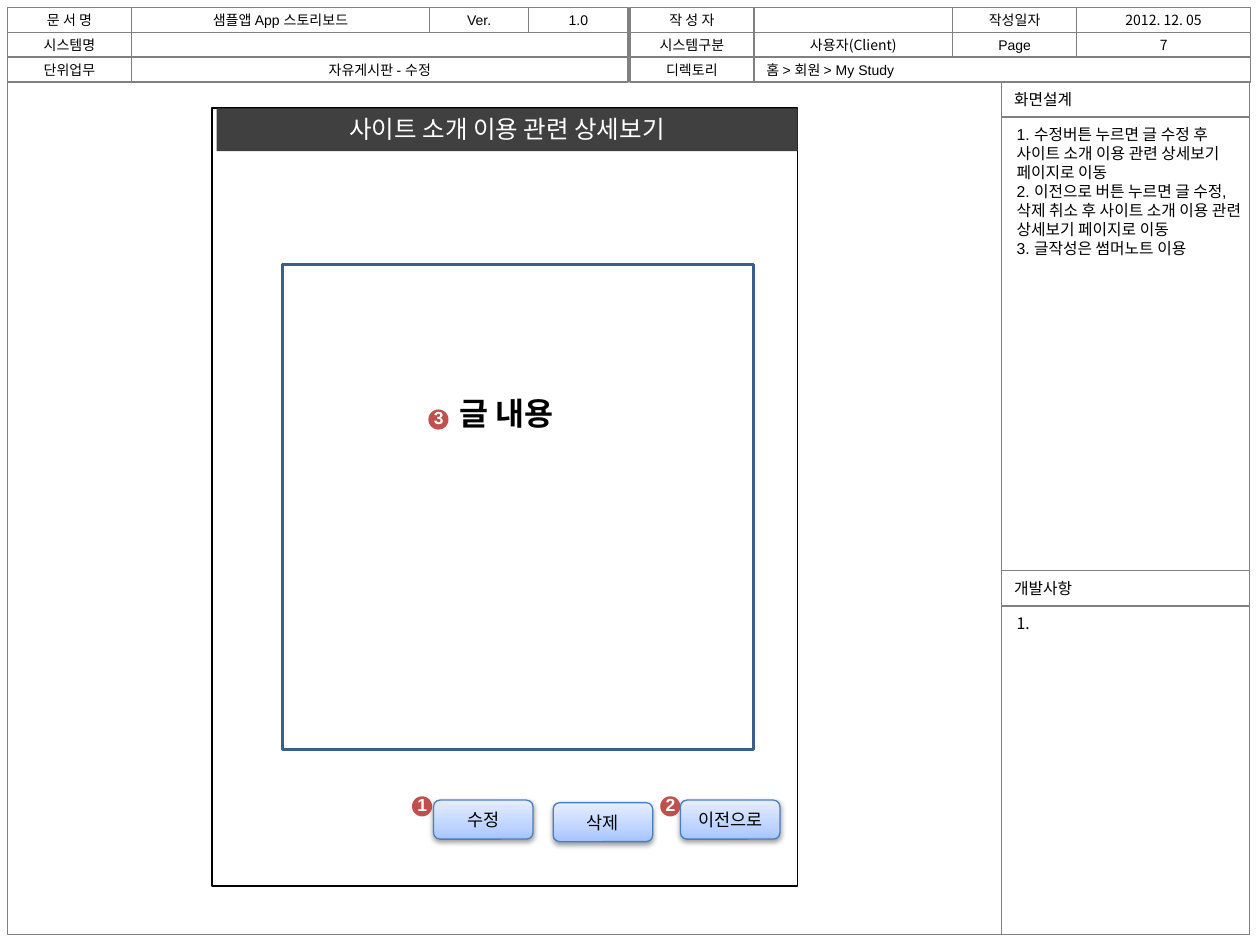
from copy import deepcopy
from typing import NamedTuple, Optional

from pptx import Presentation
from pptx.dml.color import RGBColor
from pptx.enum.shapes import MSO_SHAPE as Shape
from pptx.enum.text import MSO_ANCHOR as Anchor, PP_ALIGN as Align
from pptx.oxml import parse_xml
from pptx.oxml.ns import nsdecls, qn
from pptx.util import Emu, Inches, Pt

BLACK = RGBColor(0x00, 0x00, 0x00)
WHITE = RGBColor(0xFF, 0xFF, 0xFF)
GRAY = RGBColor(0x80, 0x80, 0x80)
DARK = RGBColor(0x40, 0x40, 0x40)
RED = RGBColor(0xC0, 0x50, 0x4D)
NAVY = RGBColor(0x3A, 0x5F, 0x8C)
BUTTON_LINE = RGBColor(0x4B, 0x7E, 0xBC)
BUTTON_STOPS = ((0, RGBColor(0xA4, 0xC4, 0xFF)),
                (0.35, RGBColor(0xBF, 0xD4, 0xFF)),
                (1, RGBColor(0xE6, 0xEE, 0xFF)))
ARIAL, NOTO = "Arial", "Noto Sans CJK KR"

prs = Presentation()
prs.slide_width, prs.slide_height = Inches(10), Inches(7.5)
s = prs.slides.add_slide(prs.slide_layouts[6])

# The slide is a grid of 100 columns by 75 rows
UNIT = prs.slide_width // 100
# The header table has its own finer layout: one cell step, two halves
STEP, LEFT, RIGHT, TOP = 1.97, 0.6, 50, 0.6


class Box(NamedTuple):
    col: float
    row: float
    cols: float
    rows: float

    def emu(self) -> list[Emu]:
        return [Emu(round(v * UNIT)) for v in self]


class Style(NamedTuple):
    size: float = 8
    font: str = ARIAL
    color: RGBColor = BLACK
    bold: bool = False
    align: Align = Align.CENTER
    anchor: Anchor = Anchor.MIDDLE


class Cell(NamedTuple):
    half: float
    line: int
    start: int
    span: int
    text: str = ""
    style: Style = Style()


class Badge(NamedTuple):
    col: float
    row: float
    text: str


class Button(NamedTuple):
    col: float
    row: float
    text: str


def write(sp, style: Style, *lines: str) -> None:
    tf = sp.text_frame
    tf.word_wrap = True
    tf.vertical_anchor = style.anchor
    for i, line in enumerate(lines):
        p = tf.add_paragraph() if i else tf.paragraphs[0]
        p.alignment = style.align
        r = p.add_run()
        r.text = line
        r.font.size, r.font.name, r.font.bold = Pt(style.size), style.font, style.bold
        r.font.color.rgb = style.color
        # Hangul glyphs come from the East Asian font
        r.font._element.find(qn("a:latin")).addnext(
            parse_xml(f'<a:ea {nsdecls("a")} typeface="{NOTO}"/>'))


def shape(shapes, box: Box, kind=Shape.RECTANGLE, fill: Optional[RGBColor] = None,
          line: Optional[RGBColor] = None, width: float = 0.75):
    sp = shapes.add_shape(kind, *box.emu())
    sp.shadow.inherit = False
    if fill is None:
        sp.fill.background()
    else:
        sp.fill.solid()
        sp.fill.fore_color.rgb = fill
    if line is None:
        sp.line.fill.background()
    else:
        sp.line.color.rgb = line
        sp.line.width = Pt(width)
    return sp


def label(shapes, box: Box, style: Style, *lines: str) -> None:
    write(shapes.add_textbox(*box.emu()), style, *lines)


def draw_cell(cell: Cell) -> None:
    box = Box(cell.half + cell.start * STEP, TOP + cell.line * STEP,
              cell.span * STEP, STEP)
    sp = shape(s.shapes, box, line=GRAY)
    if cell.text:
        write(sp, cell.style, cell.text)


def draw_badge(badge: Badge) -> None:
    shapes = s.shapes.add_group_shape().shapes
    shape(shapes, Box(badge.col, badge.row, 1.6, 1.6), Shape.OVAL, RED)
    label(shapes, Box(badge.col - 0.55, badge.row - 0.65, 5.5, 2.7),
          Style(10, ARIAL, WHITE, True, Align.LEFT, Anchor.TOP), badge.text)


def draw_button(button: Button) -> None:
    sp = shape(s.shapes, Box(button.col, button.row, 7.9, 3.1),
               Shape.ROUNDED_RECTANGLE, line=BUTTON_LINE)
    sp.fill.gradient()
    sp.fill.gradient_angle = 90
    stops = sp._element.spPr.find(qn("a:gradFill")).find(qn("a:gsLst"))
    stops.insert(1, deepcopy(stops[0]))
    for stop, (position, color) in zip(sp.fill.gradient_stops, BUTTON_STOPS):
        stop.position = position
        stop.color.rgb = color
    sp._element.spPr.find(qn("a:effectLst")).append(parse_xml(
        f'<a:outerShdw {nsdecls("a")} blurRad="{Pt(3.1)}" dist="{Pt(1.6)}" '
        'dir="5400000" rotWithShape="0"><a:srgbClr val="000000">'
        '<a:alpha val="38000"/></a:srgbClr></a:outerShdw>'))
    write(sp, Style(10, NOTO), button.text)


# Header table
PLAIN = Style(font=NOTO)
CELLS = [
    Cell(LEFT, 0, 0, 5, "문 서 명"),
    Cell(LEFT, 0, 5, 12, "샘플앱 App 스토리보드"),
    Cell(LEFT, 0, 17, 4, "Ver."),
    Cell(LEFT, 0, 21, 4, "1.0"),
    Cell(LEFT, 1, 0, 5, "시스템명"),
    Cell(LEFT, 1, 5, 20),
    Cell(LEFT, 2, 0, 5, "단위업무"),
    Cell(LEFT, 2, 5, 20, "자유게시판 - 수정"),
    Cell(RIGHT, 0, 0, 5, "작 성 자"),
    Cell(RIGHT, 0, 5, 8),
    Cell(RIGHT, 0, 13, 5, "작성일자"),
    Cell(RIGHT, 0, 18, 7, "2012. 12. 05", PLAIN),
    Cell(RIGHT, 1, 0, 5, "시스템구분"),
    Cell(RIGHT, 1, 5, 8, "사용자(Client)", PLAIN),
    Cell(RIGHT, 1, 13, 5, "Page"),
    Cell(RIGHT, 1, 18, 7, "7", PLAIN),
    Cell(RIGHT, 2, 0, 5, "디렉토리"),
    Cell(RIGHT, 2, 5, 20, "홈 > 회원 > My Study", Style(align=Align.LEFT)),
]
for cell in CELLS:
    draw_cell(cell)

# Drawing area and the two side panels
SIDE, SIDE_COLS, BOTTOM, HEAD = 79.5, 19.7, 74.2, 2.8
BODY_TOP = 6.5
shape(s.shapes, Box(LEFT, BODY_TOP, SIDE - LEFT, BOTTOM - BODY_TOP), line=GRAY)
NOTE = Style(9, align=Align.LEFT, anchor=Anchor.TOP)
PANELS = [
    (BODY_TOP, 45.3, "화면설계", NOTE,
     ("1. 수정버튼 누르면 글 수정 후 사이트 소개 이용 관련 상세보기 페이지로 이동",
      "2. 이전으로 버튼 누르면 글 수정, 삭제 취소 후 사이트 소개 이용 관련 상세보기 페이지로 이동",
      "3. 글작성은 썸머노트 이용")),
    (45.3, BOTTOM, "개발사항", NOTE._replace(font=NOTO), ("1.",)),
]
for top, end, heading, style, notes in PANELS:
    body = top + HEAD
    write(shape(s.shapes, Box(SIDE, top, SIDE_COLS, HEAD), line=GRAY),
          Style(9, align=Align.LEFT), heading)
    shape(s.shapes, Box(SIDE, body, SIDE_COLS, end - body), line=GRAY)
    label(s.shapes, Box(SIDE + 0.2, body + 0.1, 20.3, 11.6 if len(notes) > 1 else 2.5),
          style, *notes)

# Screen mock-up with its title bar
shape(s.shapes, Box(16.8, 8.6, 46.5, 61.7), fill=WHITE, line=BLACK, width=1)
title_bar = shape(s.shapes, Box(17.2, 8.6, 46.1, 3.4), fill=DARK)
write(title_bar, Style(14, color=WHITE, anchor=Anchor.TOP), "사이트 소개 이용 관련 상세보기")

# Buttons, numbered badges and the content frame
for button in (Button(54, 63.5, "이전으로"), Button(43.9, 63.7, "삭제"),
               Button(34.4, 63.5, "수정")):
    draw_button(button)
for badge in (Badge(52.4, 63.2, "2"), Badge(32.7, 63.2, "1"), Badge(34, 32.5, "3")):
    draw_badge(badge)
shape(s.shapes, Box(22.4, 21, 37.4, 38.5), line=NAVY, width=1.5)
label(s.shapes, Box(35.5, 30.8, 15.2, 4),
      Style(18, NOTO, BLACK, True, Align.LEFT, Anchor.TOP), "글 내용")

prs.save("out.pptx")
